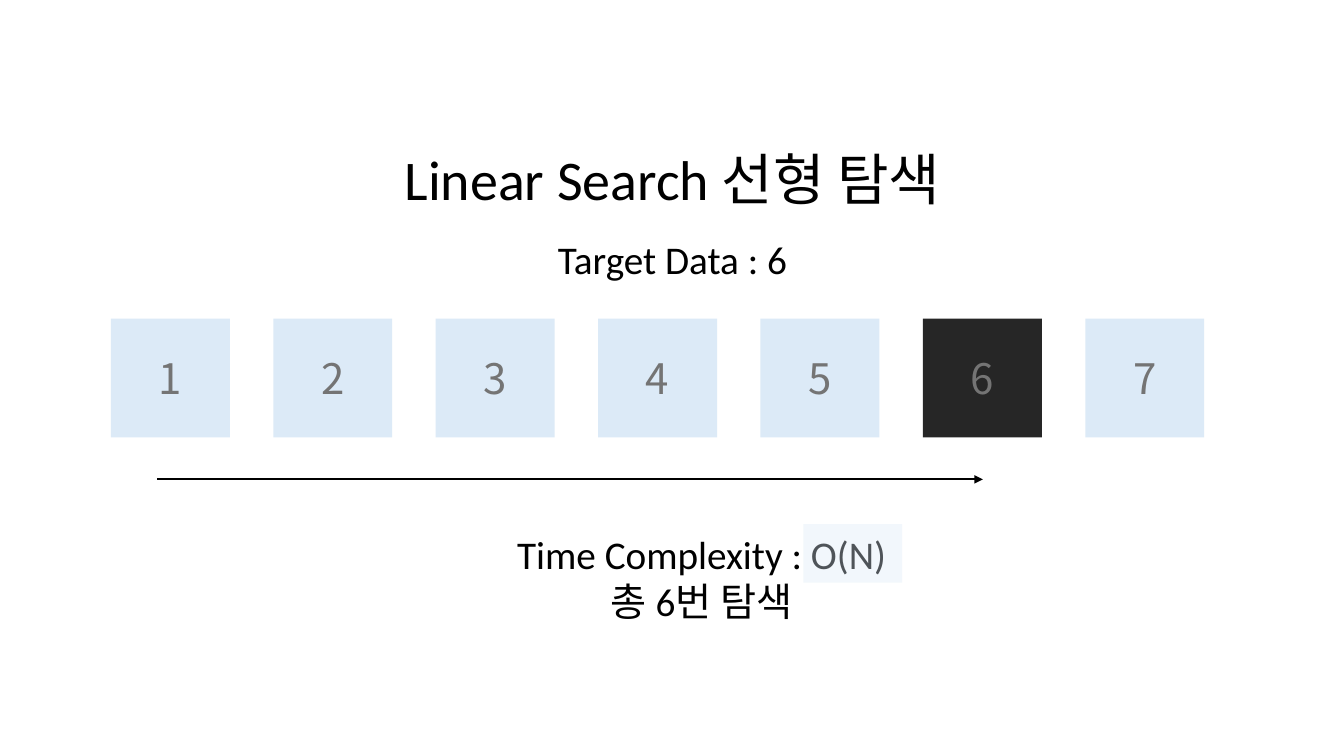
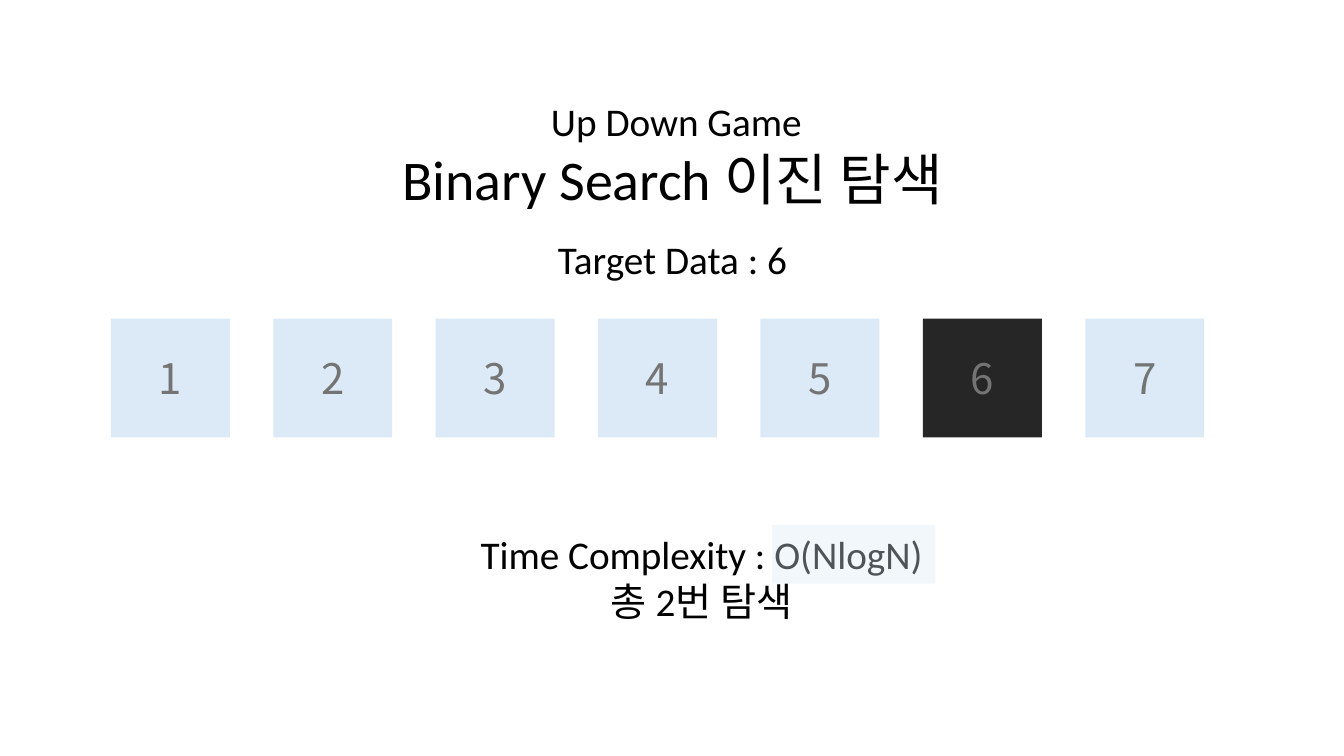
"""Build two slides that compare linear search with binary search."""
from pptx import Presentation
from pptx.dml.color import RGBColor
from pptx.enum.shapes import MSO_CONNECTOR as CONN, MSO_SHAPE as SHAPE
from pptx.enum.text import MSO_ANCHOR as ANCHOR, MSO_AUTO_SIZE as FIT, PP_ALIGN as ALIGN
from pptx.oxml.ns import qn
from pptx.oxml.xmlchemy import OxmlElement as element
from pptx.util import Pt

LATIN, KOREAN = "Calibri", "Noto Sans CJK KR"
BLACK, GREY, PALE, DARK = "000000", "747474", "DCEAF7", "262626"
TEXT_W = 548.6
CELL_X, CELL_Y, CELL_SIZE, CELL_STEP = 79.2, 227.5, 85, 116
VALUES, TARGET = range(1, 8), 6


def paint(fmt, color):
    """Give a font, fill or line one solid colour."""
    if hasattr(fmt, "solid"):
        fmt.solid()
        fmt.fore_color.rgb = RGBColor.from_string(color)
    else:
        fmt.color.rgb = RGBColor.from_string(color)


def add_run(p, text, size, color=BLACK, font=LATIN):
    """Add a run with its Latin and Korean typefaces."""
    p.alignment = ALIGN.CENTER
    r = p.add_run()
    r.text = text
    r.font.size = Pt(size)
    r.font.name = font
    paint(r.font, color)
    ea = element("a:ea")
    ea.set("typeface", KOREAN)
    r.font._element.append(ea)


def write_lines(sp, lines, size):
    """Write centred lines from the top of a text shape."""
    tf = sp.text_frame
    tf.word_wrap = True
    tf.auto_size = FIT.SHAPE_TO_FIT_TEXT
    tf.vertical_anchor = ANCHOR.TOP
    for i, line in enumerate(lines):
        p = tf.add_paragraph() if i else tf.paragraphs[0]
        add_run(p, line, size)


def add_title(s, text):
    """Move the title placeholder into place and fill it."""
    sp = s.shapes.title
    sp.left, sp.top, sp.width, sp.height = Pt(206), Pt(99.4), Pt(TEXT_W), Pt(55.4)
    write_lines(sp, [text], 40)


def add_text(s, x, y, *lines):
    """Add a text box with one paragraph a line."""
    sp = s.shapes.add_textbox(Pt(x), Pt(y), Pt(TEXT_W), Pt(7.2 + 33.8 * len(lines)))
    write_lines(sp, lines, 28)


def add_block(s, x, y, w, h, color):
    """Add a flat rectangle without outline or shadow."""
    sp = s.shapes.add_shape(SHAPE.RECTANGLE, Pt(x), Pt(y), Pt(w), Pt(h))
    sp.shadow.inherit = False
    paint(sp.fill, color)
    sp.line.fill.background()
    return sp


def add_cells(s):
    """Add the row of numbered cells with the target in dark."""
    for i, value in enumerate(VALUES):
        color = DARK if value == TARGET else PALE
        sp = add_block(s, CELL_X + i * CELL_STEP, CELL_Y, CELL_SIZE, CELL_SIZE, color)
        tf = sp.text_frame
        tf.vertical_anchor = ANCHOR.MIDDLE
        add_run(tf.paragraphs[0], str(value), 30, GREY, KOREAN)


def add_veil(s, x, y, w):
    """Add the translucent cover over the complexity."""
    sp = add_block(s, x, y, w, 41.8, PALE)
    alpha = element("a:alpha")
    alpha.set("val", "36000")
    sp.element.spPr.find(qn("a:solidFill"))[0].append(alpha)


def add_arrow(s, x1, x2, y):
    """Add a horizontal arrow pointing right."""
    c = s.shapes.add_connector(CONN.STRAIGHT, Pt(x1), Pt(y), Pt(x2), Pt(y))
    paint(c.line, BLACK)
    c.line.width = Pt(1.5)
    spPr = c.element.spPr
    tail = element("a:tailEnd")
    tail.set("type", "triangle")
    spPr.find(qn("a:ln")).append(tail)
    spPr.append(element("a:effectLst"))


def add_search_slide(prs, title, complexity, count):
    """Add a slide with the parts both searches share."""
    s = prs.slides.add_slide(prs.slide_layouts[5])
    add_title(s, title)
    add_text(s, 206, 164.2, f"Target Data : {TARGET}")
    add_cells(s)
    add_text(s, 226.8, 375.1, f"Time Complexity : {complexity}", f"총 {count}번 탐색")
    return s


def main():
    """Build and save the presentation."""
    prs = Presentation()
    prs.slide_width, prs.slide_height = Pt(960), Pt(540)

    s = add_search_slide(prs, "Linear Search 선형 탐색", "O(N)", 6)
    add_arrow(s, 112.3, 702, 342.4)
    add_veil(s, 573.8, 374.4, 70.6)

    s = add_search_slide(prs, "Binary Search 이진 탐색", "O(NlogN)", 2)
    add_text(s, 208.8, 66.2, "Up Down Game")
    add_veil(s, 551.5, 375.1, 116.6)

    prs.save("out.pptx")


if __name__ == "__main__":
    main()
